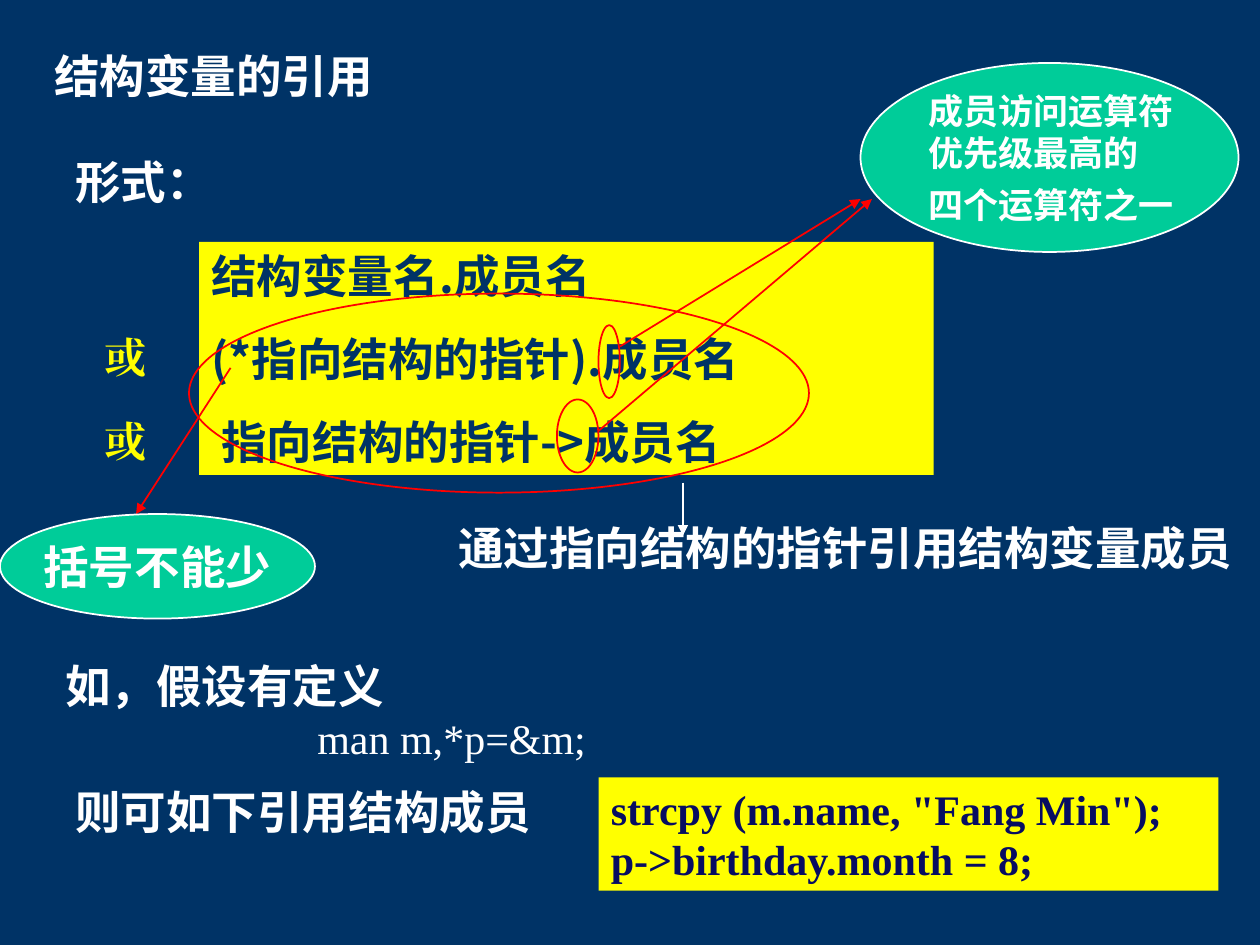
from dataclasses import dataclass
from typing import Optional

from lxml import etree
from pptx import Presentation
from pptx.dml.color import RGBColor
from pptx.enum.shapes import MSO_CONNECTOR, MSO_SHAPE
from pptx.enum.text import MSO_ANCHOR, MSO_AUTO_SIZE, PP_ALIGN
from pptx.oxml.ns import qn
from pptx.util import Inches, Pt

NAVY = RGBColor(0x00, 0x33, 0x66)
INK = RGBColor(0x07, 0x0D, 0x61)
WHITE = RGBColor(0xFF, 0xFF, 0xFF)
YELLOW = RGBColor(0xFF, 0xFF, 0x00)
RED = RGBColor(0xFF, 0x00, 0x00)
GREEN = RGBColor(0x00, 0xCC, 0x99)

OVAL, RECTANGLE = MSO_SHAPE.OVAL, MSO_SHAPE.RECTANGLE
STRAIGHT = MSO_CONNECTOR.STRAIGHT
LEFT, CENTER = PP_ALIGN.LEFT, PP_ALIGN.CENTER
TOP, MIDDLE = MSO_ANCHOR.TOP, MSO_ANCHOR.MIDDLE
FIXED, GROW = MSO_AUTO_SIZE.NONE, MSO_AUTO_SIZE.SHAPE_TO_FIT_TEXT

SANS, SERIF = "Noto Sans CJK SC", "Times New Roman"


@dataclass(frozen=True)
class Line:
    text: str
    color: RGBColor = WHITE
    size: float = 26
    font: str = SANS
    bold: bool = True
    align: PP_ALIGN = LEFT
    before: float = 0
    indent: float = 0


@dataclass(frozen=True)
class Block:
    box: tuple[float, float, float, float]
    lines: tuple[Line, ...]
    fill: Optional[RGBColor] = None


@dataclass(frozen=True)
class Ellipse:
    box: tuple[float, float, float, float]
    outline: RGBColor = RED
    fill: Optional[RGBColor] = None
    lines: tuple[Line, ...] = ()


@dataclass(frozen=True)
class Arrow:
    start: tuple[float, float]
    end: tuple[float, float]
    color: RGBColor = RED


def inches(values) -> list:
    return [Inches(value) for value in values]


def write(frame, lines: tuple[Line, ...], **frame_format) -> None:
    for name, value in frame_format.items():
        setattr(frame, name, value)
    for index, line in enumerate(lines):
        paragraph = frame.add_paragraph() if index else frame.paragraphs[0]
        paragraph.alignment = line.align
        paragraph.space_before = Pt(line.before)
        if line.indent:
            paragraph._p.get_or_add_pPr().set("marL", str(Inches(line.indent)))
        run = paragraph.add_run()
        run.text = line.text
        font_format = {"name": line.font, "size": Pt(line.size), "bold": line.bold}
        for name, value in font_format.items():
            setattr(run.font, name, value)
        run.font.color.rgb = line.color
        east_asian = etree.SubElement(run._r.get_or_add_rPr(), qn("a:ea"))
        east_asian.set("typeface", line.font)


def paint(shape, fill: Optional[RGBColor], outline: Optional[RGBColor]) -> None:
    shape.shadow.inherit = False
    if fill is None:
        shape.fill.background()
    else:
        shape.fill.solid()
        shape.fill.fore_color.rgb = fill
    if outline is None:
        shape.line.fill.background()
    else:
        shape.line.color.rgb = outline
        shape.line.width = Pt(1)


def draw_block(slide, block: Block) -> None:
    if block.fill is None:
        shape = slide.shapes.add_textbox(*inches(block.box))
    else:
        shape = slide.shapes.add_shape(RECTANGLE, *inches(block.box))
        paint(shape, block.fill, None)
    write(shape.text_frame, block.lines,
          word_wrap=True, auto_size=GROW, vertical_anchor=TOP)


def draw_ellipse(slide, ellipse: Ellipse) -> None:
    shape = slide.shapes.add_shape(OVAL, *inches(ellipse.box))
    paint(shape, ellipse.fill, ellipse.outline)
    if ellipse.lines:
        write(shape.text_frame, ellipse.lines,
              word_wrap=False, vertical_anchor=MIDDLE)


def draw_arrow(slide, arrow: Arrow) -> None:
    connector = slide.shapes.add_connector(
        STRAIGHT, *inches(arrow.start + arrow.end))
    connector.line.color.rgb = arrow.color
    connector.line.width = Pt(1)
    tail = etree.SubElement(connector.line._get_or_add_ln(), qn("a:tailEnd"))
    tail.set("type", "triangle")
    etree.SubElement(connector._element.spPr, qn("a:effectLst"))


def draw_title(slide, line: Line) -> None:
    title = slide.shapes.title
    place = dict(zip(("left", "top", "width", "height"),
                     inches((0.33, 0.33, 8.5, 0.54))))
    for name, value in place.items():
        setattr(title, name, value)
    write(title.text_frame, (line,),
          word_wrap=True, auto_size=FIXED, vertical_anchor=TOP)


def or_label(top: float) -> Block:
    return Block((0.58, top, 0.83, 0.5),
                 (Line("或", YELLOW, 24, SERIF, align=CENTER),))


CONTENT = (
    Block((0.5, 1.17, 8.42, 0.54), (Line("形式："),)),
    Block((1.58, 1.92, 5.83, 1.85), (
        Line("结构变量名.成员名", NAVY),
        Line("(*指向结构的指针).成员名", NAVY, before=16.2),
        Line("指向结构的指针->成员名", NAVY, before=16.2, indent=0.08),
    ), YELLOW),
    or_label(2.58),
    or_label(3.25),
    Ellipse((1.5, 2.33, 4.92, 1.58)),
    Block((3.42, 4.08, 6.58, 0.54),
          (Line("通过指向结构的指针引用结构变量成员", align=CENTER),)),
    Arrow((5.42, 3.83), (5.42, 4.25), WHITE),
    Ellipse((4.75, 2.58, 0.17, 0.58)),
    Ellipse((4.42, 3.17, 0.33, 0.58)),
    Arrow((4.92, 2.75), (6.83, 1.58)),
    Arrow((4.75, 3.42), (6.92, 1.58)),
    Ellipse((6.83, 0.5, 3, 1.5), WHITE, GREEN, (
        Line("成员访问运算符", size=20),
        Line("优先级最高的", size=20),
        Line("四个运算符之一", size=20, before=6),
    )),
    Arrow((1.83, 2.92), (1.08, 4.08)),
    Ellipse((0, 4.08, 2.5, 0.83), WHITE, GREEN,
            (Line("括号不能少", align=CENTER),)),
    Block((0.42, 5.17, 8.92, 0.97), (
        Line("如，假设有定义"),
        Line("man m,*p=&m;", size=24, font=SERIF, bold=False, indent=2),
    )),
    Block((4.75, 6.17, 4.92, 0.9), (
        Line('strcpy (m.name, "Fang Min");', INK, 24, SERIF),
        Line("p->birthday.month = 8;", INK, 24, SERIF),
    ), YELLOW),
    Block((0.5, 6.17, 4.25, 0.54), (Line("则可如下引用结构成员"),)),
)

DRAW = {Block: draw_block, Ellipse: draw_ellipse, Arrow: draw_arrow}


def main() -> None:
    presentation = Presentation()
    presentation.slide_width, presentation.slide_height = inches((10, 7.5))
    slide = presentation.slides.add_slide(presentation.slide_layouts[5])
    slide.background.fill.solid()
    slide.background.fill.fore_color.rgb = NAVY
    draw_title(slide, Line("结构变量的引用"))
    for element in CONTENT:
        DRAW[type(element)](slide, element)
    presentation.save("out.pptx")


if __name__ == "__main__":
    main()
